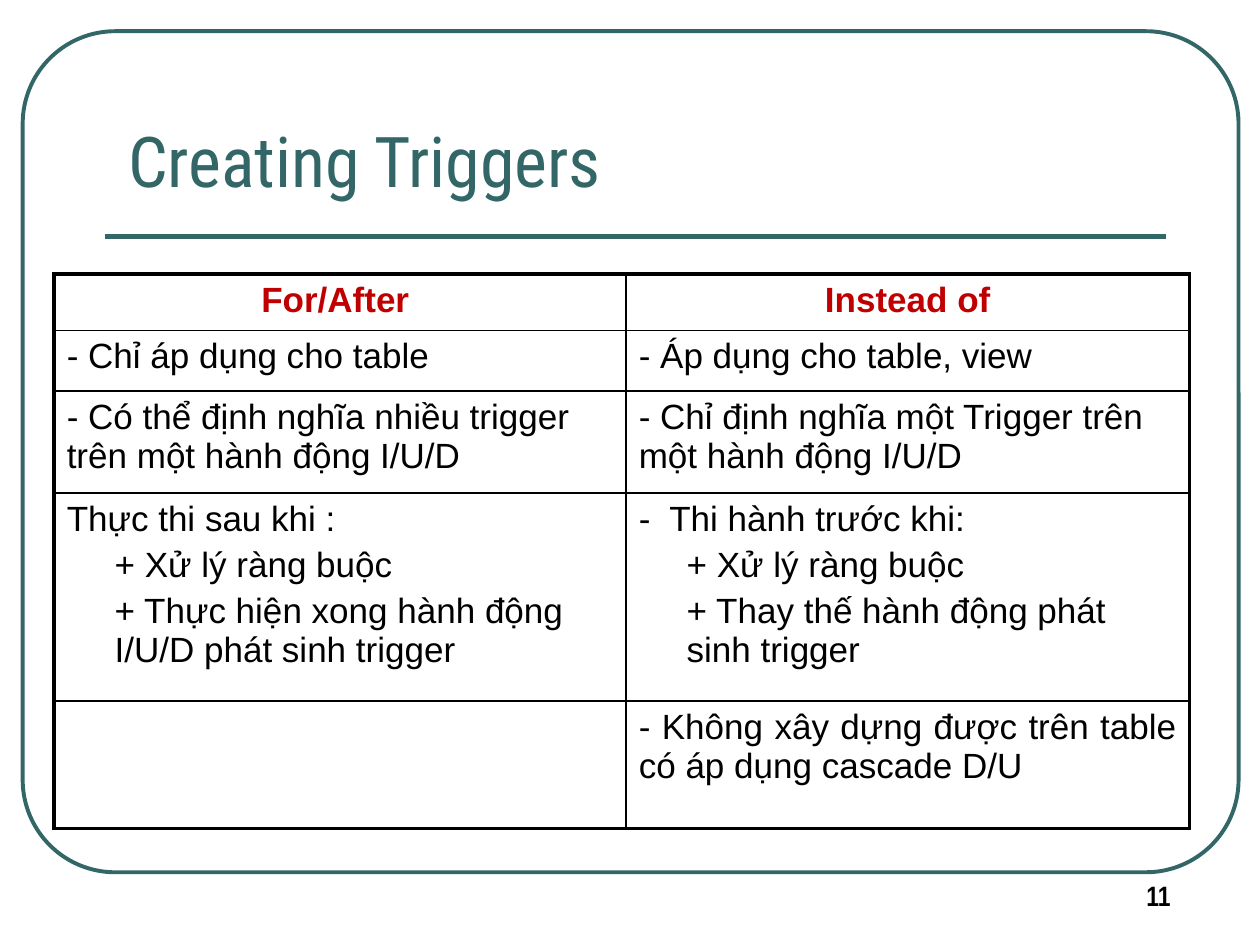
from lxml import etree
from pptx import Presentation
from pptx.dml.color import RGBColor
from pptx.enum.shapes import MSO_CONNECTOR, MSO_SHAPE
from pptx.enum.text import MSO_ANCHOR, PP_ALIGN
from pptx.oxml.ns import qn
from pptx.util import Inches, Pt

ROUNDED = MSO_SHAPE.ROUNDED_RECTANGLE
STRAIGHT = MSO_CONNECTOR.STRAIGHT
TOP, BOTTOM = MSO_ANCHOR.TOP, MSO_ANCHOR.BOTTOM
LEFT, CENTER, JUSTIFY = PP_ALIGN.LEFT, PP_ALIGN.CENTER, PP_ALIGN.JUSTIFY

WIDTH, HEIGHT = 10, 7.5
TEAL, RED, BLACK = "336666", "C00000", "000000"
THIN, THICK = 1, 2.25

COLUMN_WIDTHS = [4.54, 4.47]
ROW_HEIGHTS = [0.45, 0.48, 0.81, 1.65, 1.01]
COMPARISON = [
    ("For/After ", "Instead of"),
    ("- Chỉ áp dụng cho table", "- Áp dụng cho table, view"),
    ("- Có thể định nghĩa nhiều trigger trên một hành động I/U/D",
     "- Chỉ định nghĩa một Trigger trên một hành động I/U/D"),
    ("Thực thi sau khi :\n+ Xử lý ràng buộc\n"
     "+ Thực hiện xong hành động I/U/D phát sinh trigger",
     "-  Thi hành trước khi:\n+ Xử lý ràng buộc\n"
     "+ Thay thế hành động phát sinh trigger"),
    ("", "- Không xây dựng được trên table có áp dụng cascade D/U"),
]


def color(hex_code):
    return RGBColor.from_string(hex_code)


class SlideBuilder:
    """Draws on one slide; positions are shares of the slide's width and height."""

    def __init__(self, slide):
        self.slide = slide

    def box(self, left, top, width, height):
        return (Inches(left * WIDTH), Inches(top * HEIGHT),
                Inches(width * WIDTH), Inches(height * HEIGHT))

    def style_font(self, paragraph, font_name, size, hex_code, bold=False):
        for run in paragraph.runs:
            run.font.name = font_name
            run.font.size = Pt(size)
            run.font.bold = bold
            run.font.color.rgb = color(hex_code)

    def frame(self, area, corner):
        outline = self.slide.shapes.add_shape(ROUNDED, *self.box(*area))
        outline.adjustments[0] = corner
        outline.shadow.inherit = False
        outline.fill.background()
        outline.line.color.rgb = color(TEAL)
        outline.line.width = Pt(THICK)

    def rule(self, left, right, y):
        x1, y1, length, _ = self.box(left, y, right - left, 0)
        rule = self.slide.shapes.add_connector(STRAIGHT, x1, y1, x1 + length, y1)
        rule.line.color.rgb = color(TEAL)
        rule.line.width = Pt(3)
        etree.SubElement(rule._element.spPr, qn("a:effectLst"))

    def text(self, area, words, font_name, size, hex_code, bold=False, anchor=TOP):
        text_frame = self.slide.shapes.add_textbox(*self.box(*area)).text_frame
        text_frame.word_wrap = True
        text_frame.vertical_anchor = anchor
        text_frame.text = words
        self.style_font(text_frame.paragraphs[0], font_name, size, hex_code, bold)

    def border(self, cell, side, points):
        line = etree.SubElement(cell._tc.get_or_add_tcPr(), qn(f"a:ln{side}"),
                                w=str(Pt(points)))
        fill = etree.SubElement(line, qn("a:solidFill"))
        etree.SubElement(fill, qn("a:srgbClr"), val=BLACK)

    def cell_text(self, cell, words, is_header, align):
        """Lines that start with a plus sign are indented as sub-points."""
        cell.text_frame.text = words
        for paragraph in cell.text_frame.paragraphs:
            paragraph.alignment = align
            paragraph.space_before = Pt(4)
            if paragraph.text.startswith("+"):
                paragraph._p.get_or_add_pPr().set("marL", str(Inches(0.38)))
            self.style_font(paragraph, "Arial", 20, RED if is_header else BLACK, is_header)

    def comparison_table(self, area, rows):
        last_row, last_column = len(rows) - 1, len(rows[0]) - 1
        table = self.slide.shapes.add_table(
            len(rows), len(rows[0]), *self.box(*area)).table
        table.first_row = table.horz_banding = False
        for column, width in zip(table.columns, COLUMN_WIDTHS):
            column.width = Inches(width)
        for row, height in zip(table.rows, ROW_HEIGHTS):
            row.height = Inches(height)
        for r, row in enumerate(rows):
            for c, words in enumerate(row):
                cell = table.cell(r, c)
                outer_sides = {"L": c == 0, "R": c == last_column,
                               "T": r == 0, "B": r == last_row}
                for side, is_outer in outer_sides.items():
                    self.border(cell, side, THICK if is_outer else THIN)
                cell.fill.background()
                align = CENTER if r == 0 else JUSTIFY if r == last_row else LEFT
                self.cell_text(cell, words, r == 0, align)


def main():
    deck = Presentation()
    deck.slide_width, deck.slide_height = Inches(WIDTH), Inches(HEIGHT)
    builder = SlideBuilder(deck.slides.add_slide(deck.slide_layouts[6]))
    builder.frame((0.018, 0.033, 0.965, 0.89), corner=0.11)
    builder.rule(0.083, 0.925, 0.25)
    builder.text((0.9, 0.923, 0.067, 0.05), "11", "Arial Narrow", 16, BLACK, bold=True)
    builder.text((0.092, 0.1, 0.852, 0.12), "Creating Triggers",
                 "Roboto Condensed", 40, TEAL, anchor=BOTTOM)
    builder.comparison_table((0.043, 0.29, 0.901, 0.585), COMPARISON)
    deck.save("out.pptx")


if __name__ == "__main__":
    main()
